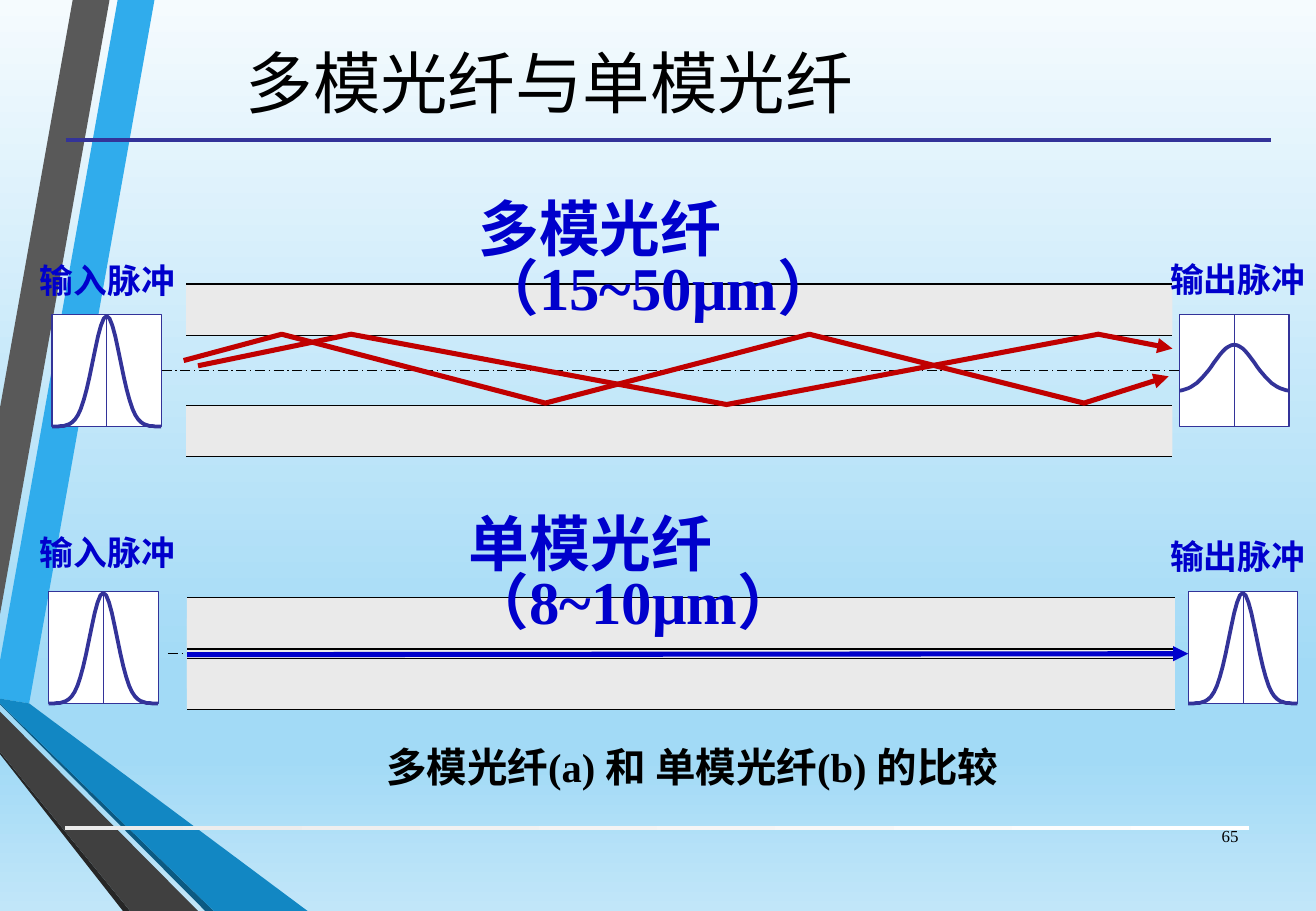
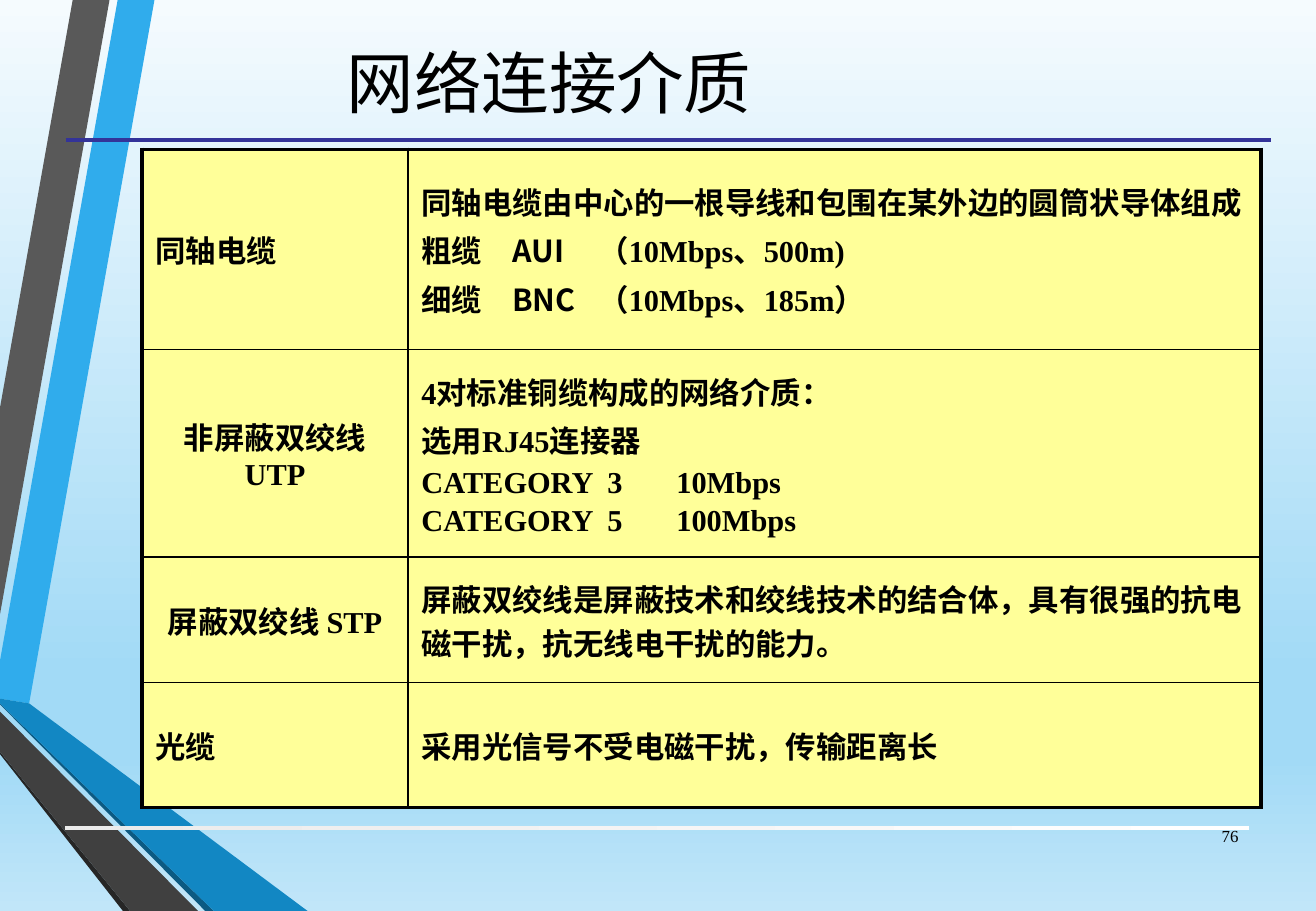
from copy import deepcopy
from math import exp

from lxml.etree import SubElement
from pptx import Presentation
from pptx.dml.color import RGBColor as RGB
from pptx.enum.dml import MSO_LINE
from pptx.enum.shapes import MSO_CONNECTOR, MSO_SHAPE
from pptx.enum.text import MSO_ANCHOR as ANCHOR, PP_ALIGN as ALIGN
from pptx.oxml.ns import qn
from pptx.util import Cm, Pt

BLACK = RGB(0x00, 0x00, 0x00)
WHITE = RGB(0xFF, 0xFF, 0xFF)
SMOKE = RGB(0xEB, 0xEB, 0xEB)
GREY = RGB(0xEA, 0xEA, 0xEA)
NAVY = RGB(0x33, 0x33, 0x99)
BLUE = RGB(0x00, 0x00, 0xCC)
RED = RGB(0xC0, 0x00, 0x00)
CREAM = RGB(0xFF, 0xFF, 0x99)
SKY = [(0, RGB(0xF5, 0xFB, 0xFE)), (0.74, RGB(0xA2, 0xDA, 0xF6)),
       (0.83, RGB(0xA2, 0xDA, 0xF6)), (1, RGB(0xC1, 0xE6, 0xF9))]
SERIF, SANS = "Times New Roman", "Noto Sans CJK SC"
UNIT = Cm(0.01)  # freeform points are in hundredths of a centimetre

# Corner wedges, back to front
WEDGES = [
    (RGB(0x30, 0xAC, 0xEC), [(0, 1382), (0, 1461), (61, 1471), (323, 0), (246, 0)]),
    (RGB(0x59, 0x59, 0x59), [(229, 0), (152, 0), (0, 853), (0, 1285)]),
    (RGB(0x26, 0x26, 0x26), [(0, 1572), (0, 1577), (257, 1905), (272, 1905)]),
    (RGB(0x0C, 0x5A, 0x82), [(0, 1471), (0, 1473), (429, 1905), (447, 1905)]),
    (RGB(0x12, 0x87, 0xC3),
     [(0, 1471), (447, 1905), (643, 1905), (61, 1471), (0, 1461)]),
    (RGB(0x40, 0x40, 0x40), [(0, 1572), (272, 1905), (414, 1905), (0, 1488)]),
]


def text(slide, words, box, size, color=BLACK, bold=False, align=ALIGN.LEFT,
         anchor=ANCHOR.TOP, wrap=True, gap=1.0):
    frame = slide.shapes.add_textbox(*map(Cm, box)).text_frame
    frame.word_wrap = wrap
    frame.vertical_anchor = anchor
    para = frame.paragraphs[0]
    para.text = words
    para.alignment = align
    para.line_spacing = gap
    font = para.font
    font.size, font.bold, font.name = Pt(size), bold, SERIF
    font.color.rgb = color
    SubElement(para._p.pPr.find(qn("a:defRPr")), qn("a:ea"), typeface=SANS)


def line(slide, x1, y1, x2, y2, color, width):
    rule = slide.shapes.add_connector(
        MSO_CONNECTOR.STRAIGHT, Cm(x1), Cm(y1), Cm(x2), Cm(y2))
    rule.line.color.rgb = color
    rule.line.width = Pt(width)
    SubElement(rule._element.spPr, qn("a:effectLst"))
    return rule


prs = Presentation()
prs.slide_width, prs.slide_height = Cm(27.51), Cm(19.05)

# Shared background
master = prs.slide_master
back = master.background.fill
back.gradient()
back.gradient_angle = 270
stops = master.element.find(".//" + qn("a:gsLst"))
for _ in SKY[2:]:
    stops.append(deepcopy(stops[0]))
for stop, (place, color) in zip(back.gradient_stops, SKY):
    stop.position = place
    stop.color.rgb = color

# Shared frame: wedges, rules, title, page number
pages = []
for title, number in [("多模光纤与单模光纤", "65"), ("网络连接介质", "76")]:
    slide = prs.slides.add_slide(prs.slide_layouts[6])
    pages.append(slide)
    for color, points in WEDGES:
        form = slide.shapes.build_freeform(*points[0], scale=UNIT)
        wedge = form.add_line_segments(points[1:]).convert_to_shape()
        wedge.shadow.inherit = False
        wedge.fill.solid()
        wedge.fill.fore_color.rgb = color
        wedge.line.fill.background()
    foot = slide.shapes.add_shape(
        MSO_SHAPE.RECTANGLE, Cm(1.35), Cm(17.27), Cm(24.77), Cm(0.08))
    foot.shadow.inherit = False
    foot.line.fill.background()
    foot.fill.gradient()
    foot.fill.gradient_angle = 0
    for stop, color in zip(foot.fill.gradient_stops, (SMOKE, WHITE)):
        stop.color.rgb = color
    line(slide, 1.37, 2.92, 26.57, 2.92, NAVY, 2.25)
    text(slide, title, (1.09, 0.13, 20.78, 3.15), 40,
         align=ALIGN.CENTER, anchor=ANCHOR.MIDDLE)
    text(slide, number, (24.84, 16.97, 1.3, 1.02), 10,
         align=ALIGN.RIGHT, anchor=ANCHOR.MIDDLE)

# Slide 1: pulse boxes with a bell curve (left, top, peak, spread, lift)
slide = pages[0]
boxes = []
for x, y, peak, spread, lift in [
        (1.09, 6.58, 231, 40, 0), (24.66, 6.58, 99, 61, 72),
        (1.02, 12.37, 231, 40, 0), (24.84, 12.37, 231, 40, 0)]:
    box = slide.shapes.add_shape(
        MSO_SHAPE.RECTANGLE, Cm(x), Cm(y), Cm(2.29), Cm(2.34))
    box.shadow.inherit = False
    box.fill.solid()
    box.fill.fore_color.rgb = WHITE
    box.line.color.rgb = NAVY
    box.line.width = Pt(0.75)
    boxes.append(box)
    mid = line(slide, x, y, x, y, NAVY, 0.5)
    mid.begin_connect(box, 0)
    mid.end_connect(box, 2)
    left, base = x * 100 + 114, y * 100 + 234 - lift
    bell = [(left + d, base - peak * exp(-(d / spread) ** 2))
            for d in range(-114, 115, 6)]
    form = slide.shapes.build_freeform(*bell[0], scale=UNIT)
    pulse = form.add_line_segments(bell[1:], close=False).convert_to_shape()
    pulse.shadow.inherit = False
    pulse.fill.background()
    pulse.line.color.rgb = NAVY
    pulse.line.width = Pt(2.25)

# Fibres: cladding bands, their edges, the axis
for x, width, tops, core, axis in [
        (3.89, 20.62, (5.94, 8.48), None, (3.45, 24.84, 7.75)),
        (3.91, 20.65, (12.5, 13.77), (12.93, 1.47), (3.51, 24.84, 13.67))]:
    bands = [(top, 1.07) for top in tops]
    if core:
        bands.insert(0, core)
    for top, height in bands:
        band = slide.shapes.add_shape(
            MSO_SHAPE.RECTANGLE, Cm(x), Cm(top), Cm(width), Cm(height))
        band.shadow.inherit = False
        band.fill.solid()
        band.fill.fore_color.rgb = GREY
        band.line.fill.background()
    for top in tops:
        for edge in (top, top + 1.07):
            line(slide, x, edge, x + width, edge, BLACK, 0.75)
    start, end, level = axis
    dash = line(slide, start, level, end, level, BLACK, 0.75)
    dash.line.dash_style = MSO_LINE.LONG_DASH_DOT
    if not core:
        dash.begin_connect(boxes[0], 3)
        dash.end_connect(boxes[1], 1)

# Light rays
rays = []
for points in [
        [(414, 765), (734, 699), (1519, 846), (2296, 699), (2451, 729)],
        [(384, 754), (589, 699), (1140, 843), (1692, 699), (2266, 843),
         (2443, 787)]]:
    form = slide.shapes.build_freeform(*points[0], scale=UNIT)
    ray = form.add_line_segments(points[1:], close=False).convert_to_shape()
    ray.shadow.inherit = False
    ray.fill.background()
    ray.line.color.rgb = RED
    ray.line.width = Pt(3)
    rays.append(ray)

# Labels and caption
for words, x, y in [("输入脉冲", 0.58, 5.31), ("输出脉冲", 24.21, 5.28),
                    ("输入脉冲", 0.58, 11), ("输出脉冲", 24.21, 11.08)]:
    text(slide, words, (x, y, 3.35, 1.12), 20, BLUE, True, wrap=False)
for words, x, y in [("多模光纤（15~50μm）", 9.75, 4.17),
                    ("单模光纤（8~10μm）", 9.55, 10.75)]:
    text(slide, words, (x, y, 10.5, 3.2), 36, BLUE, True, gap=0.8)
text(slide, "多模光纤(a) 和 单模光纤(b) 的比较", (5.77, 15.39, 17.4, 1.27),
     24, bold=True, align=ALIGN.CENTER)

# Arrowheads, with the straight ray on top
rays.append(line(slide, 3.91, 13.69, 24.84, 13.67, BLUE, 3))
for ray in rays:
    SubElement(ray._element.spPr.find(qn("a:ln")), qn("a:tailEnd"),
               type="triangle")

# Slide 2: table of media (name, alignment, tab stops, paragraphs)
ROWS = [
    (4.19, "同轴电缆", ALIGN.LEFT, (1.9, 3.7),
     ["同轴电缆由中心的一根导线和包围在某外边的圆筒状导体组成",
      "粗缆\t|AUI|\t（10Mbps、500m)", "细缆\t|BNC|\t（10Mbps、185m）"]),
    (4.34, "非屏蔽双绞线 UTP", ALIGN.CENTER, (3.89, 5.33),
     ["4对标准铜缆构成的网络介质：", "选用RJ45连接器",
      "CATEGORY\t3\t10Mbps", "CATEGORY\t5\t100Mbps"]),
    (2.62, "屏蔽双绞线 STP", ALIGN.CENTER, (),
     ["屏蔽双绞线是屏蔽技术和绞线技术的结合体，具有很强的抗电磁干扰，"
      "抗无线电干扰的能力。"]),
    (2.62, "光缆", ALIGN.LEFT, (), ["采用光信号不受电磁干扰，传输距离长"]),
]
table = pages[1].shapes.add_table(
    len(ROWS), 2, Cm(2.97), Cm(3.12), Cm(23.39), Cm(13.77)).table
table.first_row = table.horz_banding = False
table.columns[0].width, table.columns[1].width = Cm(5.56), Cm(17.83)
last = len(ROWS) - 1
for r, (height, name, align, tabs, notes) in enumerate(ROWS):
    table.rows[r].height = Cm(height)
    for c, paras in enumerate([[name], notes]):
        cell = table.cell(r, c)
        cell.vertical_anchor = ANCHOR.MIDDLE
        cell.margin_left = cell.margin_right = Cm(0.28)
        # Borders: heavy outside, thin inside
        props = cell._tc.get_or_add_tcPr()
        for side, outer in [("L", c == 0), ("R", c == 1),
                            ("T", r == 0), ("B", r == last)]:
            edge = SubElement(props, qn("a:ln" + side),
                              w=str(Pt(2.25 if outer else 1)))
            SubElement(SubElement(edge, qn("a:solidFill")),
                       qn("a:srgbClr"), val=str(BLACK))
        cell.fill.solid()
        cell.fill.fore_color.rgb = CREAM
        # Text: the part between bars is set in the sans face
        frame = cell.text_frame
        for i, words in enumerate(paras):
            para = frame.add_paragraph() if i else frame.paragraphs[0]
            for k, part in enumerate(words.split("|")):
                run = para.add_run()
                run.text = part
                if k == 1:
                    run.font.name = SANS
            para.alignment = ALIGN.LEFT if c else align
            if i:
                para.space_before = Pt(2.7)
            if c and tabs:
                stops = SubElement(para._p.pPr, qn("a:tabLst"))
                for tab in tabs:
                    SubElement(stops, qn("a:tab"), pos=str(Cm(tab)), algn="l")
            font = para.font
            font.size, font.bold, font.name = Pt(18), True, SERIF
            font.color.rgb = BLACK
            SubElement(para._p.pPr.find(qn("a:defRPr")), qn("a:ea"),
                       typeface=SANS)

prs.save("out.pptx")
